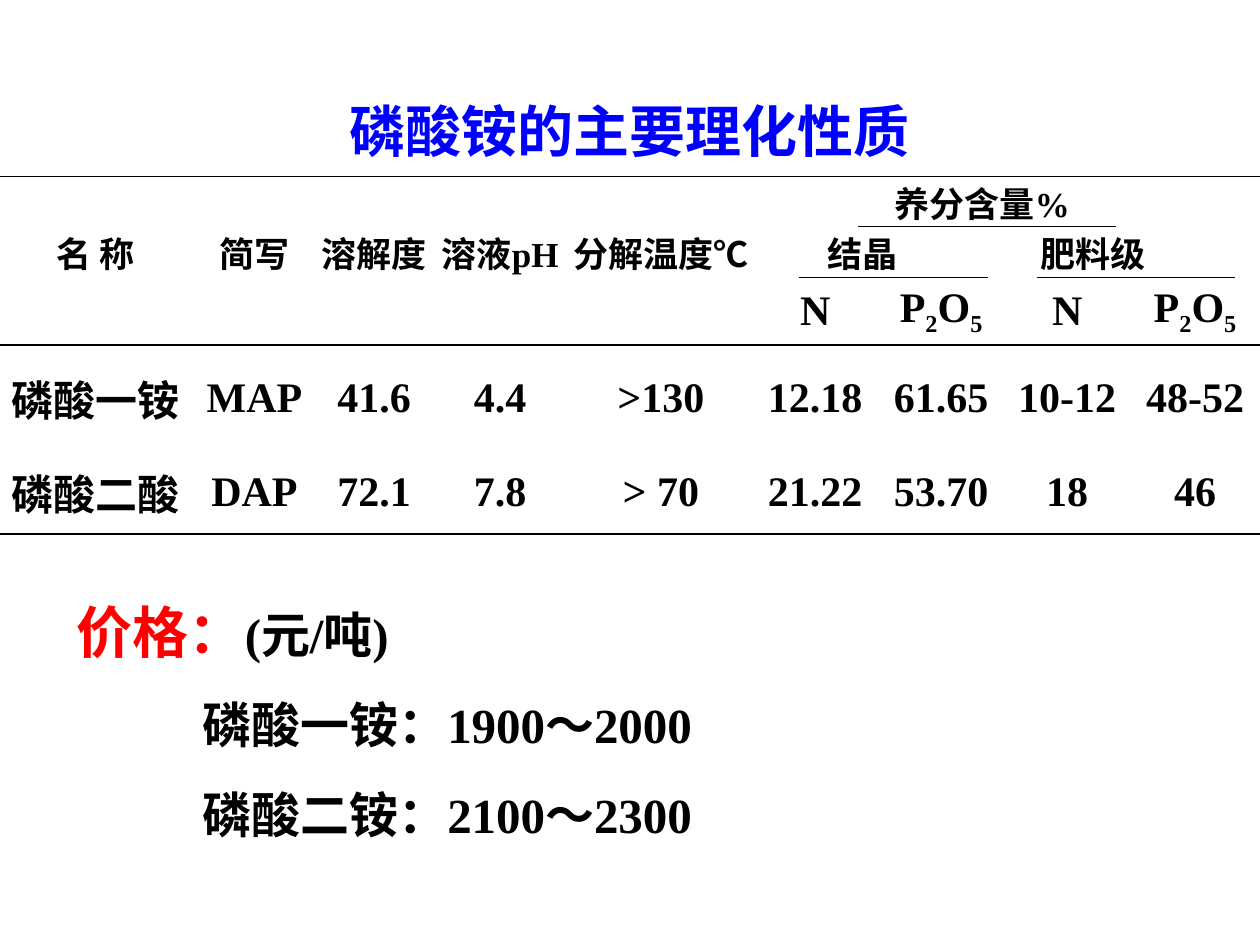
from dataclasses import dataclass
from itertools import accumulate

from lxml import etree
from pptx import Presentation
from pptx.dml.color import RGBColor
from pptx.enum.shapes import MSO_CONNECTOR
from pptx.enum.text import MSO_ANCHOR, PP_ALIGN
from pptx.oxml.ns import qn
from pptx.util import Inches, Pt

STRAIGHT = MSO_CONNECTOR.STRAIGHT
LEFT, CENTER = PP_ALIGN.LEFT, PP_ALIGN.CENTER
TOP, MIDDLE = MSO_ANCHOR.TOP, MSO_ANCHOR.MIDDLE

COLUMNS = (1.52, 1, 0.9, 1.1, 1.45, 1, 1, 1, 1.03)
ROWS = (0.4, 0.4, 0.54, 0.84, 0.66)
HEADINGS = ("名 称", "简写", "溶解度", "溶液pH", "分解温度℃")
GROUPS = (
    (0, 5, 8, "养分含量%", 1.13),
    (1, 5, 6, "结晶", 0.6),
    (1, 7, 8, "肥料级", 0.29),
)
NUTRIENTS = ("N", "P2O5", "N", "P2O5")
RECORDS = (
    ("磷酸一铵", "MAP", "41.6", "4.4", ">130", "12.18", "61.65", "10-12", "48-52"),
    ("磷酸二酸", "DAP", "72.1", "7.8", "> 70", "21.22", "53.70", "18", "46"),
)
PRICES = ("磷酸一铵：1900～2000", "磷酸二铵：2100～2300")
GROUP_RULES = ((6.81, 8.86, 1), (6.34, 7.84, 2), (8.23, 9.8, 2))


@dataclass(frozen=True)
class Theme:
    """Colours, font and type sizes of the slide."""
    font: str = "Times New Roman"
    text: RGBColor = RGBColor(0, 0, 0)
    title: RGBColor = RGBColor(0, 0, 255)
    accent: RGBColor = RGBColor(255, 0, 0)
    title_size: float = 32
    price_size: float = 28
    body_size: float = 24
    heading_size: float = 20
    rule: float = 1
    thin_rule: float = 0.75


@dataclass(frozen=True)
class Box:
    """A region of the slide in inches."""
    left: float
    top: float
    width: float
    height: float

    def lengths(self):
        """Return the region as slide lengths."""
        return [Inches(n) for n in (self.left, self.top, self.width, self.height)]


THEME = Theme()


def style_run(run, size, color=THEME.text):
    """Give a run the theme font in bold."""
    run.font.name = THEME.font
    run.font.size = Pt(size)
    run.font.bold = True
    run.font.color.rgb = color


def add_text_frame(slide, box, anchor):
    """Add a wrapping text box and return its frame."""
    frame = slide.shapes.add_textbox(*box.lengths()).text_frame
    frame.word_wrap = True
    frame.vertical_anchor = anchor
    return frame


def add_rule(slide, start, end, y, weight):
    """Draw a horizontal black line."""
    rule = slide.shapes.add_connector(
        STRAIGHT, Inches(start), Inches(y), Inches(end), Inches(y))
    rule.line.color.rgb = THEME.text
    rule.line.width = Pt(weight)
    etree.SubElement(rule._element.spPr, qn("a:effectLst"))


def fill_cell(cell, text, size, alignment=CENTER, indent=0):
    """Write styled text in a table cell."""
    cell.text_frame.text = text
    cell.margin_left = Inches(indent)
    paragraph = cell.text_frame.paragraphs[0]
    paragraph.alignment = alignment
    for run in paragraph.runs:
        style_run(run, size)


def fill_formula(cell, formula):
    """Write a chemical formula with its digits lowered."""
    paragraph = cell.text_frame.paragraphs[0]
    paragraph.alignment = CENTER
    for symbol in formula:
        run = paragraph.add_run()
        run.text = symbol
        style_run(run, THEME.body_size)
        if symbol.isdigit():
            run.font._element.set("baseline", "-25000")


def add_title(slide, box):
    """Place the centred title."""
    frame = add_text_frame(slide, box, MIDDLE)
    frame.text = "磷酸铵的主要理化性质"
    paragraph = frame.paragraphs[0]
    paragraph.alignment = CENTER
    style_run(paragraph.runs[0], THEME.title_size, THEME.title)


def add_properties(slide, box):
    """Place the property table and its rules."""
    table = slide.shapes.add_table(len(ROWS), len(COLUMNS), *box.lengths()).table
    table.first_row = table.horz_banding = False
    for column, width in zip(table.columns, COLUMNS):
        column.width = Inches(width)
    for row, height in zip(table.rows, ROWS):
        row.height = Inches(height)
    for cell in table.iter_cells():
        cell.fill.background()
        cell.margin_left = cell.margin_right = cell.margin_top = cell.margin_bottom = 0
        cell.vertical_anchor = MIDDLE
        cell.text_frame.paragraphs[0].font.size = Pt(THEME.heading_size)

    for column, heading in enumerate(HEADINGS):
        fill_cell(table.cell(1, column), heading, THEME.heading_size)
    for row, first, last, text, indent in GROUPS:
        cell = table.cell(row, first)
        cell.merge(table.cell(row, last))
        fill_cell(cell, text, THEME.heading_size, LEFT, indent)
    for column, formula in enumerate(NUTRIENTS, len(HEADINGS)):
        fill_formula(table.cell(2, column), formula)
    for row, record in enumerate(RECORDS, 3):
        for column, value in enumerate(record):
            fill_cell(table.cell(row, column), value, THEME.body_size)

    edges = list(accumulate(ROWS, initial=box.top))
    for edge in (0, 3, 5):
        add_rule(slide, box.left, box.left + box.width, edges[edge], THEME.rule)
    for start, end, edge in GROUP_RULES:
        add_rule(slide, start, end, edges[edge], THEME.thin_rule)


def add_prices(slide, box):
    """Place the price heading and its indented lines."""
    frame = add_text_frame(slide, box, TOP)
    heading = frame.paragraphs[0]
    for text, size, color in (
        ("价格：", THEME.title_size, THEME.accent),
        ("(元/吨)", THEME.price_size, THEME.text),
    ):
        run = heading.add_run()
        run.text = text
        style_run(run, size, color)
    for price in PRICES:
        paragraph = frame.add_paragraph()
        paragraph.text = price
        paragraph.space_before = Pt(17.5)
        paragraph._p.get_or_add_pPr().set("marL", str(Inches(1)))
        style_run(paragraph.runs[0], THEME.price_size)


def main():
    """Build and save the slide."""
    presentation = Presentation()
    presentation.slide_width = Inches(10)
    presentation.slide_height = Inches(7.5)
    slide = presentation.slides.add_slide(presentation.slide_layouts[6])
    add_title(slide, Box(0, 0.66, 10, 0.74))
    add_properties(slide, Box(0, 1.4, sum(COLUMNS), sum(ROWS)))
    add_prices(slide, Box(0.51, 4.69, 5.83, 2.06))
    presentation.save("out.pptx")


if __name__ == "__main__":
    main()
